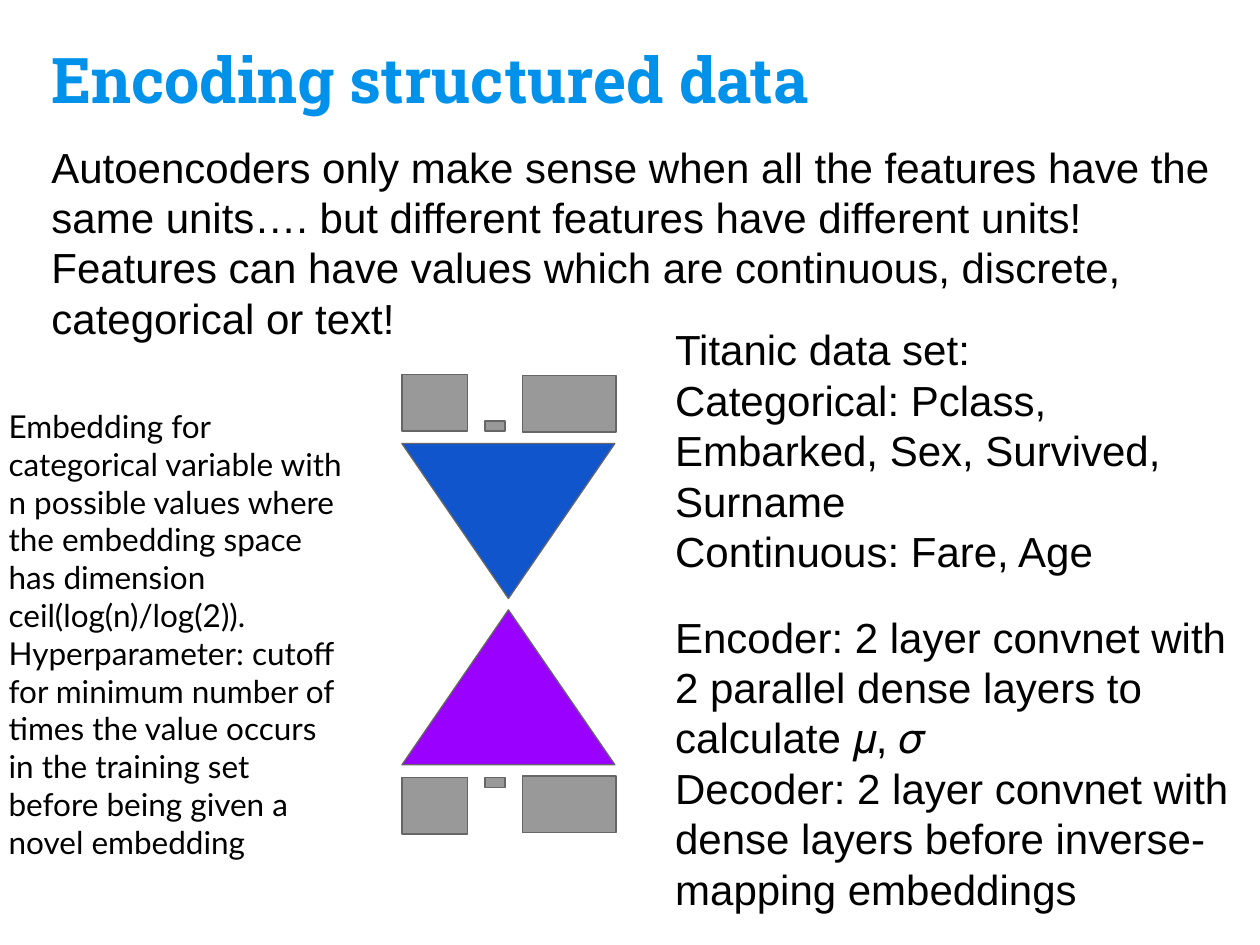
from pptx import Presentation
from pptx.dml.color import RGBColor
from pptx.enum.shapes import MSO_SHAPE
from pptx.enum.text import MSO_ANCHOR
from pptx.util import Inches, Pt

SKY = RGBColor(0x00, 0x91, 0xEA)
BLACK = RGBColor(0, 0, 0)
BLUE = RGBColor(0x11, 0x55, 0xCC)
PURPLE = RGBColor(0x99, 0x00, 0xFF)
GRAY = RGBColor(0x99, 0x99, 0x99)
EDGE = RGBColor(0x66, 0x66, 0x66)

# Text formats
HEAD = dict(name="Roboto Slab", size=Pt(36), bold=True)
BODY = dict(name="Arial", size=Pt(24))
NOTE = dict(name="Lato", size=Pt(18))

# Text: left, top, width, height, format, colour, anchor, paragraphs
LEFT, RIGHT, WIDE = 0.31, 5.26, 9.83
TOP, BOTTOM = MSO_ANCHOR.TOP, MSO_ANCHOR.BOTTOM
TEXTS = [
    (LEFT, 0, WIDE, 1.02, HEAD, SKY, BOTTOM, ["Encoding structured data"]),
    (LEFT, 1.02, WIDE, 1.78, BODY, BLACK, TOP, [
        "Autoencoders only make sense when all the features have the same "
        "units…. but different features have different units!",
        "Features can have values which are continuous, discrete, "
        "categorical or text!"]),
    (-0.03, 3.13, 2.85, 3.99, NOTE, BLACK, TOP, [
        "Embedding for categorical variable with n possible values where "
        "the embedding space has dimension ceil(log(n)/log(2)).",
        "Hyperparameter: cutoff for minimum number of times the value occurs "
        "in the training set before being given a novel embedding"]),
    (RIGHT, 2.47, 4.58, 2.28, BODY, BLACK, TOP, [
        "Titanic data set:",
        "Categorical: Pclass, Embarked, Sex, Survived, Surname",
        "Continuous: Fare, Age"]),
    (RIGHT, 4.75, 4.68, 2.56, BODY, BLACK, TOP, [
        "Encoder: 2 layer convnet with 2 parallel dense layers "
        "to calculate 𝜇, 𝜎",
        "Decoder: 2 layer convnet with dense layers before "
        "inverse-mapping embeddings"]),
]

# Encoder half: kind, left, top, width, height, encoder and decoder fills
RECT, CONE = MSO_SHAPE.RECTANGLE, MSO_SHAPE.ISOSCELES_TRIANGLE
PARTS = [
    (RECT, 3.19, 2.97, 0.52, 0.45, GRAY, GRAY),
    (RECT, 3.85, 3.34, 0.16, 0.08, GRAY, GRAY),
    (RECT, 4.15, 2.98, 0.74, 0.45, GRAY, GRAY),
    (CONE, 3.19, 3.52, 1.69, 1.23, BLUE, PURPLE),
]
AXIS = 4.795  # height of the line that mirrors encoder into decoder

deck = Presentation()
deck.slide_width, deck.slide_height = Inches(10), Inches(7.5)
slide = deck.slides.add_slide(deck.slide_layouts[6])


def add_text(left, top, width, height, form, color, anchor, lines):
    box = slide.shapes.add_textbox(*map(Inches, (left, top, width, height)))
    frame = box.text_frame
    frame.word_wrap = True
    frame.vertical_anchor = anchor
    for side in ("left", "right", "top", "bottom"):
        setattr(frame, f"margin_{side}", Inches(0.1))
    for i, line in enumerate(lines):
        para = frame.paragraphs[0] if i == 0 else frame.add_paragraph()
        run = para.add_run()
        run.text = line
        for key, value in form.items():
            setattr(run.font, key, value)
        run.font.color.rgb = color


def add_part(kind, left, top, width, height, fill, turn=0):
    part = slide.shapes.add_shape(
        kind, *map(Inches, (left, top, width, height)))
    part.rotation = turn
    part.shadow.inherit = False
    part.fill.solid()
    part.fill.fore_color.rgb = fill
    part.line.color.rgb = EDGE
    part.line.width = Pt(0.75)


for text in TEXTS:
    add_text(*text)

# Encoder above the axis, decoder mirrored below it
for kind, left, top, width, height, upper, lower in PARTS:
    add_part(kind, left, top, width, height, upper,
             180 if kind == CONE else 0)
    add_part(kind, left, 2 * AXIS - top - height, width, height, lower)

deck.save("out.pptx")
